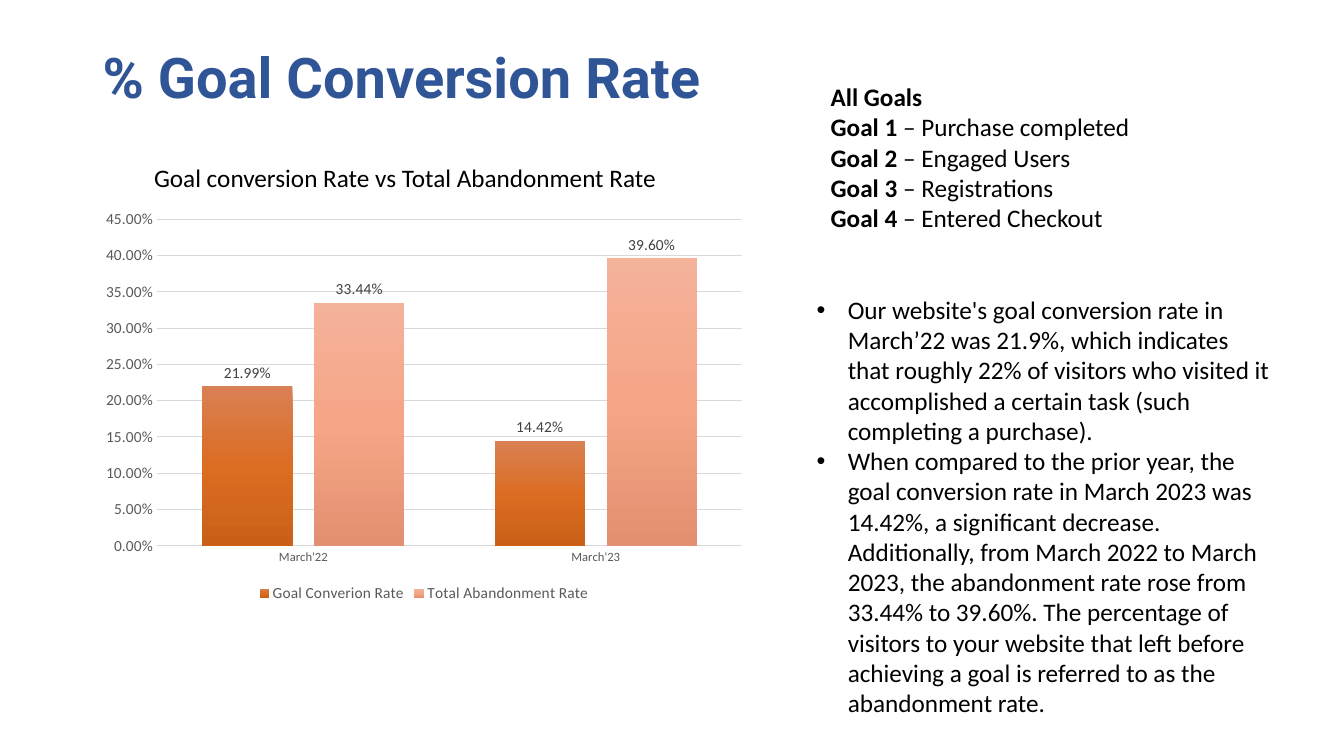
import lxml.etree
import pptx
import pptx.chart.data
import pptx.dml.color
import pptx.enum.chart
import pptx.enum.text
import pptx.oxml.ns
import pptx.util

PX = 9144  # EMU per px, 100 px to the inch
COLORS = {"title": "2F5597", "text": "000000", "axis": "595959",
          "label": "404040", "grid": "D9D9D9"}
qn = pptx.oxml.ns.qn


def style_font(font, size, color, name="Calibri", bold=False):
    font.size = pptx.util.Pt(size)
    font.name = name
    font.bold = bold
    font.color.rgb = pptx.dml.color.RGBColor.from_string(COLORS[color])


def add_text(bounds, paragraphs, size=18, color="text", name="Calibri"):
    """Add a text box; each paragraph is a list of (text, bold) runs."""
    box = page.shapes.add_textbox(*[v * PX for v in bounds])
    frame = box.text_frame
    frame.word_wrap = True
    for i, runs in enumerate(paragraphs):
        para = frame.paragraphs[0] if i == 0 else frame.add_paragraph()
        for text, bold in runs:
            span = para.add_run()
            span.text = text
            style_font(span.font, size, color, name, bold)
    return frame


deck = pptx.Presentation()
deck.slide_width = 1333 * PX
deck.slide_height = 750 * PX
page = deck.slides.add_slide(deck.slide_layouts[6])

# Headings
title = add_text((92, 40, 894, 79), [[("% Goal Conversion Rate", True)]],
                 40, "title", "Roboto")
title.vertical_anchor = pptx.enum.text.MSO_ANCHOR.MIDDLE
title.paragraphs[0].line_spacing = 0.9
add_text((143, 156, 524, 40),
         [[("Goal conversion Rate vs Total Abandonment Rate", False)]])

# Goal list
goals = ["Purchase completed", "Engaged Users", "Registrations", "Entered Checkout"]
add_text((814, 76, 472, 162), [[("All Goals", True)]] + [
    [(f"Goal {number}", True), (f" – {goal}", False)]
    for number, goal in enumerate(goals, 1)])

# Column chart
SERIES = [
    ("Goal Converion Rate", (0.2199, 0.1442), ("D98054", "DB6D23", "CA6018")),
    ("Total Abandonment Rate", (0.3344, 0.396), ("F4B29A", "F6A586", "E29070")),
]
data = pptx.chart.data.CategoryChartData(number_format="0.00%")
data.categories = ["March'22", "March'23"]
for series_name, values, _ in SERIES:
    data.add_series(series_name, values)
chart = page.shapes.add_chart(
    pptx.enum.chart.XL_CHART_TYPE.COLUMN_CLUSTERED,
    *[v * PX for v in (92, 200, 657, 402)], data).chart
style_font(chart.font, 10, "text")
chart.has_title = False
chart.has_legend = True
chart.legend.position = pptx.enum.chart.XL_LEGEND_POSITION.BOTTOM
chart.legend.include_in_layout = False
style_font(chart.legend.font, 11, "axis")

grid_color = pptx.dml.color.RGBColor.from_string(COLORS["grid"])
for axis, size in ((chart.category_axis, 9), (chart.value_axis, 11)):
    axis.major_tick_mark = pptx.enum.chart.XL_TICK_MARK.NONE
    axis.minor_tick_mark = pptx.enum.chart.XL_TICK_MARK.NONE
    style_font(axis.tick_labels.font, size, "axis")
category_line = chart.category_axis.format.line
category_line.color.rgb = grid_color
category_line.width = pptx.util.Pt(1)

rates = chart.value_axis
rates.minimum_scale, rates.maximum_scale, rates.major_unit = 0, 0.45, 0.05
rates.tick_labels.number_format = "0.00%"
rates.tick_labels.number_format_is_linked = False
rates.format.line.fill.background()
rates.has_major_gridlines = True
rates.major_gridlines.format.line.color.rgb = grid_color
rates.major_gridlines.format.line.width = pptx.util.Pt(0.75)

plot = chart.plots[0]
plot.vary_by_categories = False
plot.gap_width = 100
plot.overlap = -24
for series, (_, _, gradient) in zip(plot.series, SERIES):
    fill = series.format.fill
    fill.gradient()
    fill.gradient_angle = 270
    stops = series._element.find(".//" + qn("a:gsLst"))
    stops.clear()
    for i, color in enumerate(gradient):
        stop = lxml.etree.SubElement(stops, qn("a:gs"), pos=str(i * 50000))
        lxml.etree.SubElement(stop, qn("a:srgbClr"), val=color)
    labels = series.data_labels
    labels.show_value = True
    labels.position = pptx.enum.chart.XL_LABEL_POSITION.OUTSIDE_END
    labels.number_format = "0.00%"
    labels.number_format_is_linked = False
    style_font(labels.font, 11, "label")

# Findings
findings = [
    "Our website's goal conversion rate in March’22 was 21.9%, which indicates "
    "that roughly 22% of visitors who visited it accomplished a certain task "
    "(such completing a purchase).",
    "When compared to the prior year, the goal conversion rate in March 2023 was "
    "14.42%, a significant decrease. Additionally, from March 2022 to March 2023, "
    "the abandonment rate rose from 33.44% to 39.60%. The percentage of visitors "
    "to your website that left before achieving a goal is referred to as the "
    "abandonment rate.",
]
notes = add_text((800, 287, 472, 434), [[(finding, False)] for finding in findings])
for para in notes.paragraphs:
    props = para._p.get_or_add_pPr()
    props.set("marL", str(31 * PX))
    props.set("indent", str(-31 * PX))
    lxml.etree.SubElement(props, qn("a:buFont"), typeface="Arial")
    lxml.etree.SubElement(props, qn("a:buChar"), char="•")

deck.save("out.pptx")
